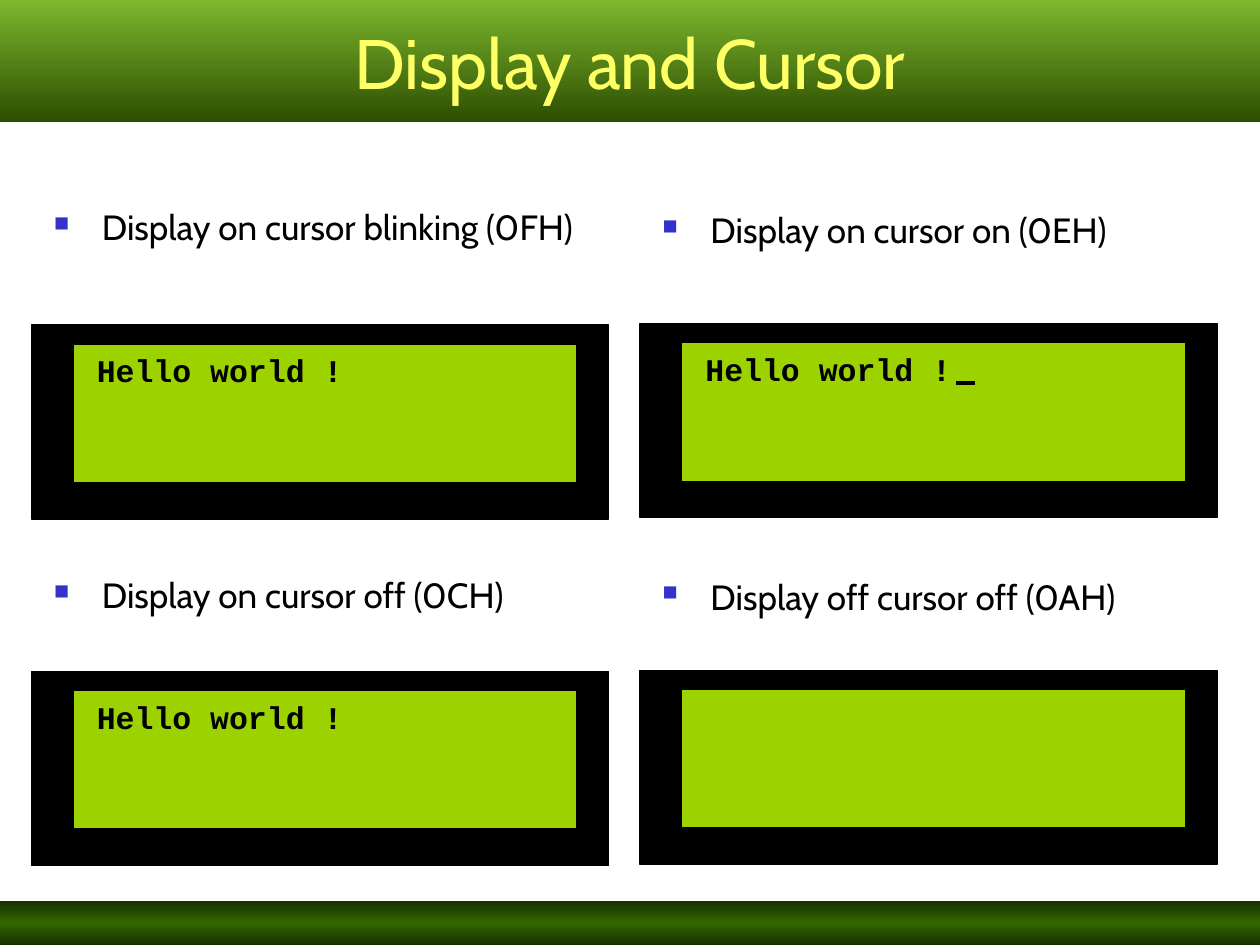
from copy import deepcopy

from lxml import etree
from pptx import Presentation
from pptx.dml.color import RGBColor
from pptx.enum.shapes import MSO_CONNECTOR as Connector, MSO_SHAPE as Shape
from pptx.enum.text import MSO_ANCHOR as Anchor, MSO_AUTO_SIZE as AutoSize, PP_ALIGN as Align
from pptx.oxml.ns import qn
from pptx.util import Inches, Pt

COLORS = {
    "band_light": "7DB82E", "band_dark": "2D4E01",
    "footer_edge": "182F00", "footer_mid": "336600",
    "title": "FFFF66", "bullet": "3333CC",
    "black": "000000", "screen": "9BD200",
}
BODY_FONT, SCREEN_FONT = "Cabin", "Courier New"


def color(name):
    return RGBColor.from_string(COLORS[name])


def fill_gradient(shape, names):
    """Fill from top to bottom with evenly spaced colours."""
    shape.fill.gradient()
    shape.fill.gradient_angle = 270
    stops = shape._element.spPr.find(".//" + qn("a:gsLst"))
    while len(stops) < len(names):
        stops.append(deepcopy(stops[0]))
    for i, (stop, name) in enumerate(zip(shape.fill.gradient_stops, names)):
        stop.color.rgb = color(name)
        stop.position = i / (len(names) - 1)


def add_rect(shapes, left, top, width, height, fill=None, line=None):
    rect = shapes.add_shape(Shape.RECTANGLE, Inches(left), Inches(top),
                            Inches(width), Inches(height))
    rect.shadow.inherit = False
    if fill:
        rect.fill.solid()
        rect.fill.fore_color.rgb = color(fill)
    if line:
        rect.line.color.rgb = color(line)
        rect.line.width = Pt(0.75)
    else:
        rect.line.fill.background()
    return rect


def add_line(shapes, start, end, name, width):
    line = shapes.add_connector(Connector.STRAIGHT, *map(Inches, start + end))
    line.line.color.rgb = color(name)
    line.line.width = Pt(width)
    etree.SubElement(line._element.spPr, qn("a:effectLst"))


def add_bullet(para):
    props = para._p.get_or_add_pPr()
    props.set("marL", str(Inches(0.38)))
    props.set("indent", str(-Inches(0.38)))
    bullet_color = etree.SubElement(props, qn("a:buClr"))
    etree.SubElement(bullet_color, qn("a:srgbClr"), val=COLORS["bullet"])
    etree.SubElement(props, qn("a:buSzPct"), val="60000")
    etree.SubElement(props, qn("a:buChar"), char="■")


def write_text(frame, text, size, font=BODY_FONT, name="black", bold=False,
               align=Align.LEFT, anchor=Anchor.TOP, spacing=None, bullet=False,
               auto_size=AutoSize.NONE):
    frame.word_wrap = True
    frame.auto_size = auto_size
    frame.vertical_anchor = anchor
    para = frame.paragraphs[0]
    para.alignment = align
    if spacing:
        para.line_spacing = spacing
    if bullet:
        add_bullet(para)
    span = para.add_run()
    span.text = text
    span.font.name = font
    span.font.size = Pt(size)
    span.font.bold = bold
    span.font.color.rgb = color(name)


def add_text(page, left, top, width, height, text, **style):
    box = page.shapes.add_textbox(Inches(left), Inches(top), Inches(width), Inches(height))
    write_text(box.text_frame, text, **style)


def add_footer(page, left, top, width, height):
    band = add_rect(page.shapes, left, top, width, height)
    fill_gradient(band, ["footer_edge", "footer_mid", "footer_edge"])


def add_title(page, left, top, width, height):
    title = page.shapes.title
    title.left, title.top = Inches(left), Inches(top)
    title.width, title.height = Inches(width), Inches(height)
    fill_gradient(title, ["band_light", "band_dark"])
    write_text(title.text_frame, "Display and Cursor", size=40, name="title",
               align=Align.CENTER, anchor=Anchor.MIDDLE)


def add_cursor(page, left, top, width, height):
    """Underscore cursor, trimmed by screen-coloured edges."""
    group = page.shapes.add_group_shape()
    right, bottom = left + width, top + height
    add_rect(group.shapes, left, top, width, height, fill="black")
    for y in (top, bottom):
        add_line(group.shapes, (left, y), (right, y), "screen", 3)
    for x in (left, right):
        add_line(group.shapes, (x, top), (x, bottom), "screen", 0.75)


def add_display(page, left, top, message, cursor):
    add_rect(page.shapes, left, top, 4.58, 1.54, fill="black", line="black")
    add_rect(page.shapes, left + 0.33, top + 0.15, 4, 1.1, fill="screen", line="black")
    if message:
        add_text(page, left + 0.42, top + 0.16, 2.33, 0.4, message, size=18,
                 font=SCREEN_FONT, bold=True, auto_size=AutoSize.SHAPE_TO_FIT_TEXT)
    if cursor == "blink":
        add_rect(page.shapes, left + 2.5, top + 0.24, 0.15, 0.25, fill="screen")
    elif cursor == "on":
        add_cursor(page, left + 2.5, top + 0.43, 0.16, 0.08)


def add_mode(page, left, top, caption_top, caption_width, caption, message, cursor):
    """One display mode: bulleted caption above an LCD panel."""
    add_text(page, left + 0.08, caption_top, caption_width, 0.58, caption,
             size=20, spacing=0.8, bullet=True)
    add_display(page, left, top, message, cursor)


def main():
    deck = Presentation()
    deck.slide_width, deck.slide_height = Inches(10), Inches(7.5)
    page = deck.slides.add_slide(deck.slide_layouts[5])

    # Bands
    add_footer(page, 0, 7.15, 10, 0.35)
    add_title(page, 0, 0, 10, 0.97)

    # Four display modes
    hello = "Hello world !"
    modes = [
        (0.25, 2.58, 1.65, 4.67, "Display on cursor blinking (0FH)", hello, "blink"),
        (5.08, 2.57, 1.67, 4, "Display on cursor on (0EH)", hello, "on"),
        (0.25, 5.33, 4.57, 4, "Display on cursor off (0CH)", hello, None),
        (5.08, 5.32, 4.58, 4, "Display off cursor off (0AH)", None, None),
    ]
    for mode in modes:
        add_mode(page, *mode)

    deck.save("out.pptx")


if __name__ == "__main__":
    main()
